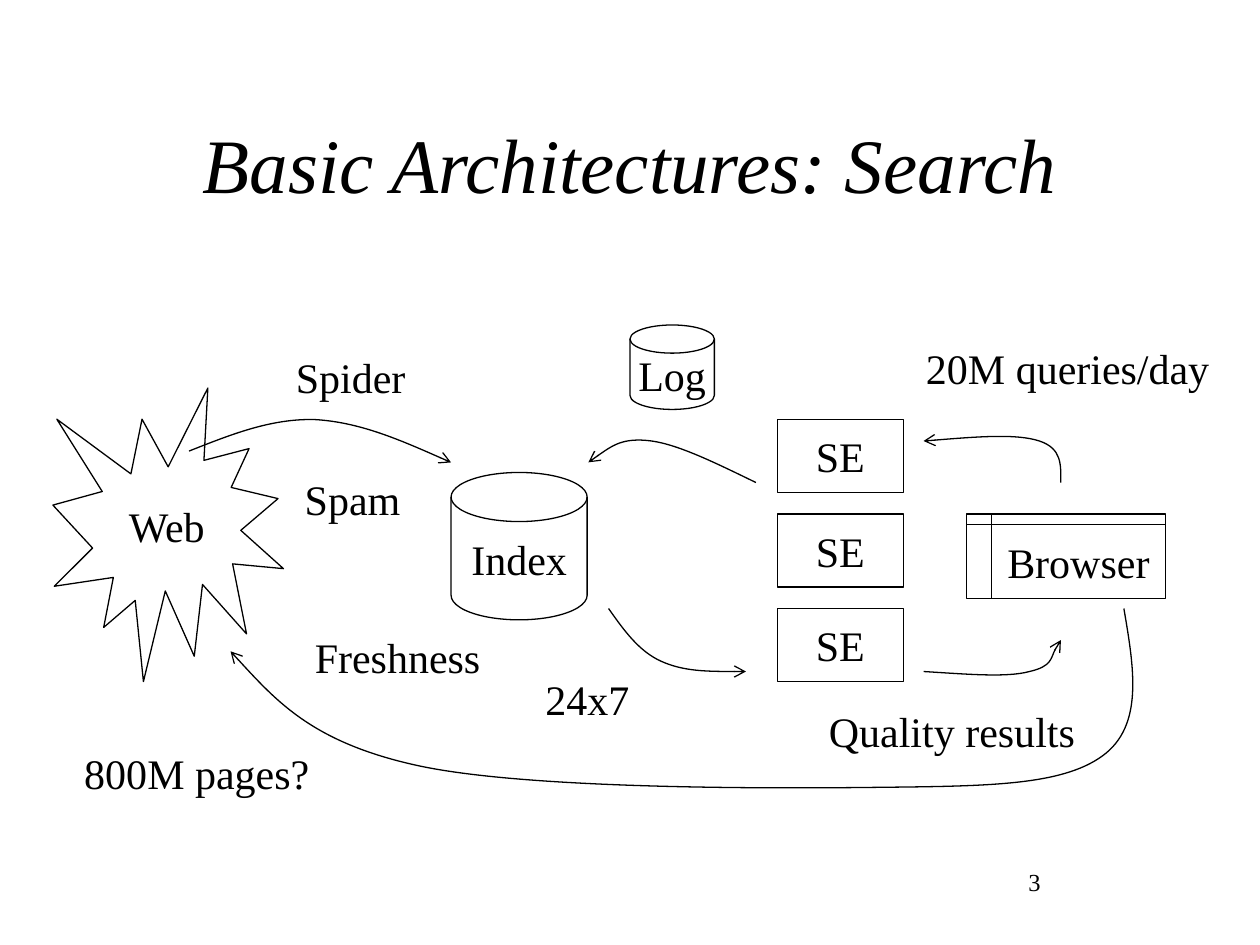
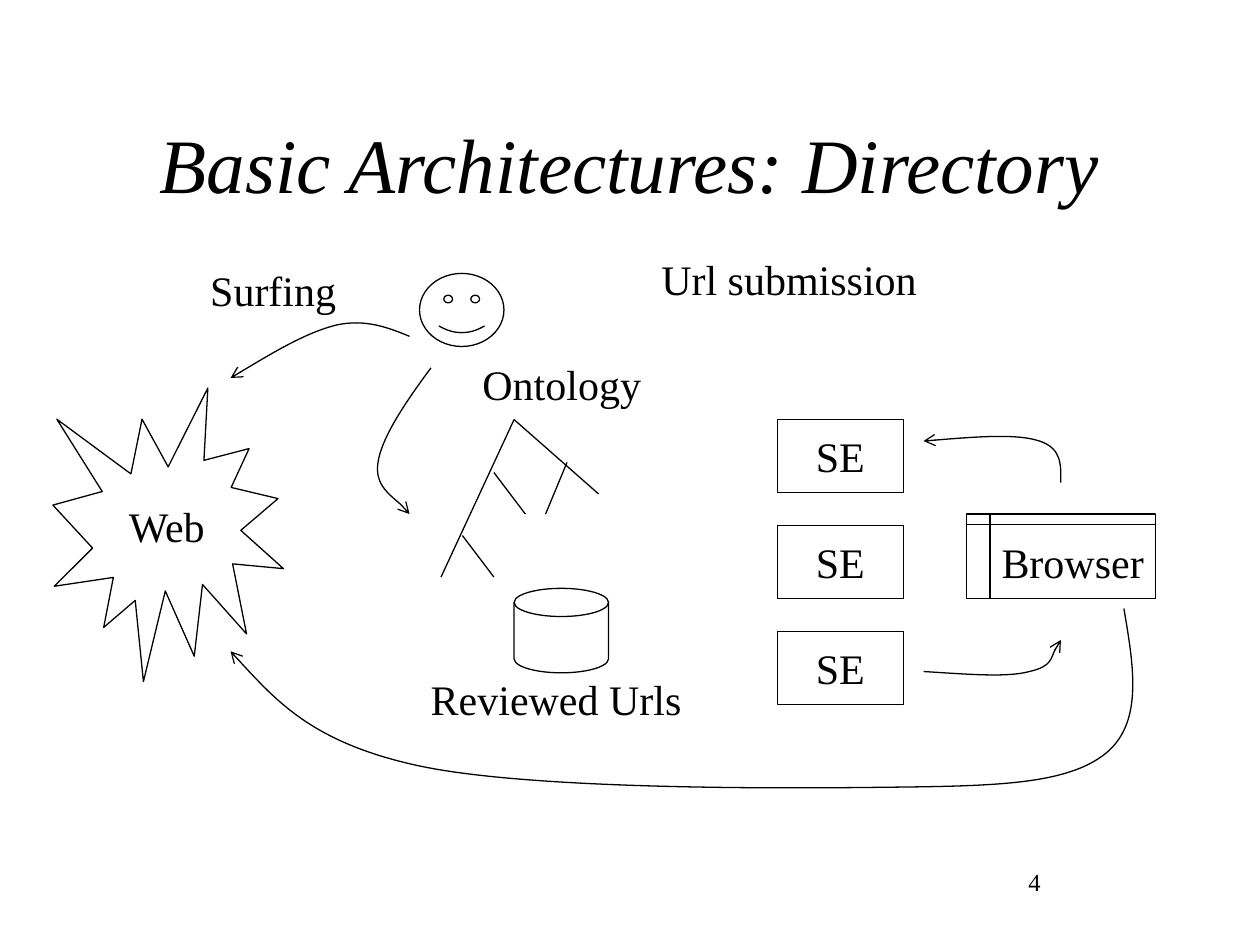
from dataclasses import dataclass

from lxml.etree import SubElement
from pptx import Presentation
from pptx.dml.color import RGBColor
from pptx.enum.shapes import MSO_CONNECTOR, MSO_SHAPE
from pptx.enum.text import MSO_ANCHOR, MSO_AUTO_SIZE, PP_ALIGN
from pptx.oxml.ns import qn
from pptx.presentation import Presentation as Deck
from pptx.shapes.autoshape import Shape
from pptx.slide import Slide
from pptx.text.text import TextFrame
from pptx.util import Inches, Pt

Point = tuple[float, float]


@dataclass(frozen=True)
class Theme:
    ink: RGBColor = RGBColor(0, 0, 0)
    paper: RGBColor = RGBColor(255, 255, 255)
    font: str = "Times New Roman"
    title_size: float = 44
    body_size: float = 24
    number_size: float = 14
    line_width: float = 0.75


@dataclass(frozen=True)
class Node:
    kind: MSO_SHAPE
    left: float
    top: float
    width: float
    height: float
    text: str = ""


@dataclass(frozen=True)
class Label:
    text: str
    left: float
    top: float
    width: float
    wrap: bool = False


@dataclass(frozen=True)
class Curve:
    """Start point, then two control points and an end point per segment."""
    points: tuple[Point, ...]


@dataclass(frozen=True)
class Branch:
    start: Point
    end: Point


THEME = Theme()
LABEL_HEIGHT = 0.5
LABEL_SLACK = 0.03  # keeps a tight label on one line
DISK = MSO_SHAPE.FLOWCHART_MAGNETIC_DISK

# Parts that both architectures have
WEB = Node(MSO_SHAPE.EXPLOSION1, 0.42, 3.08, 1.83, 2.33, "Web")
RESULTS_TO_BROWSER = Curve((
    (7.33, 5.33), (7.66, 5.35), (7.99, 5.38), (8.17, 5.33),
    (8.35, 5.29), (8.37, 5.13), (8.42, 5.08)))
BROWSER_TO_ENGINE = Curve((
    (8.42, 3.83), (8.42, 3.69), (8.43, 3.56), (8.25, 3.5),
    (8.07, 3.44), (7.7, 3.47), (7.33, 3.5)))
BROWSER_TO_WEB = Curve((
    (8.92, 4.83), (9, 5.3), (9.08, 5.76), (8.75, 6),
    (8.42, 6.24), (7.82, 6.24), (6.92, 6.25),
    (6.01, 6.26), (4.18, 6.26), (3.33, 6.08),
    (2.49, 5.9), (2.16, 5.53), (1.83, 5.17)))

# Search slide
SEARCH_NODES = (
    Node(DISK, 5, 2.58, 0.67, 0.67, "Log"),
    Node(DISK, 3.58, 3.75, 1.08, 1.17, "Index"),
)
SEARCH_LABELS = (
    Label("Spider", 2.25, 2.74, 1.58, wrap=True),
    Label("Spam", 2.32, 3.71, 0.96),
    Label("Freshness", 2.4, 4.96, 1.51),
    Label("Quality results", 6.48, 5.55, 2.15),
    Label("20M queries/day", 7.25, 2.67, 2.45),
    Label("800M pages?", 0.57, 5.88, 1.98),
    Label("24x7", 4.23, 5.3, 0.86),
)
SEARCH_CURVES = (
    # Index to engines, web to index, engines to index
    Curve(((4.83, 4.83), (4.95, 5), (5.07, 5.17), (5.25, 5.25),
           (5.43, 5.33), (5.67, 5.33), (5.92, 5.33))),
    Curve(((1.5, 3.58), (1.83, 3.45), (2.15, 3.32), (2.5, 3.33),
           (2.85, 3.35), (3.22, 3.51), (3.58, 3.67))),
    Curve(((6, 3.83), (5.69, 3.68), (5.39, 3.53), (5.17, 3.5),
           (4.94, 3.47), (4.81, 3.57), (4.67, 3.67))),
)

# Directory slide
REVIEWED_URLS = Node(DISK, 4.08, 4.67, 0.75, 0.67)
REVIEWER = Node(MSO_SHAPE.SMILEY_FACE, 3.33, 2.17, 0.67, 0.58)
DIRECTORY_LABELS = (
    Label("Url submission", 5.15, 1.96, 2.23),
    Label("Surfing", 1.57, 2.05, 1.2),
    Label("Ontology", 3.73, 2.8, 1.46),
    Label("Reviewed Urls", 3.32, 5.3, 2.19),
)
DIRECTORY_CURVES = (
    # Reviewer to ontology, reviewer to web
    Curve(((3.42, 2.92), (3.22, 3.19), (3.03, 3.47), (3, 3.67),
           (2.97, 3.86), (3.21, 4.01), (3.25, 4.08))),
    Curve(((3.25, 2.67), (3.08, 2.6), (2.9, 2.53), (2.67, 2.58),
           (2.43, 2.64), (2.13, 2.82), (1.83, 3))),
)
ONTOLOGY_TREE = (
    Branch((4.08, 3.33), (3.5, 4.58)),
    Branch((4.08, 3.33), (4.75, 3.92)),
    Branch((3.67, 4.25), (3.92, 4.58)),
    Branch((3.92, 3.75), (4.17, 4.08)),
    Branch((4.33, 4.08), (4.5, 3.67)),
)


def write_text(frame: TextFrame, text: str, size: float,
               align: PP_ALIGN = PP_ALIGN.LEFT, italic: bool = False,
               wrap: bool = True) -> None:
    frame.text = text
    frame.word_wrap = wrap
    paragraph = frame.paragraphs[0]
    paragraph.alignment = align
    for run in paragraph.runs:
        run.font.name = THEME.font
        run.font.size = Pt(size)
        run.font.italic = italic
        run.font.color.rgb = THEME.ink


def outline(shape: Shape) -> None:
    shape.shadow.inherit = False
    shape.fill.background()
    shape.line.color.rgb = THEME.ink
    shape.line.width = Pt(THEME.line_width)


def draw_node(slide: Slide, node: Node) -> Shape:
    shape = slide.shapes.add_shape(
        node.kind, Inches(node.left), Inches(node.top),
        Inches(node.width), Inches(node.height))
    outline(shape)
    if node.text:
        shape.text_frame.vertical_anchor = MSO_ANCHOR.MIDDLE
        write_text(shape.text_frame, node.text, THEME.body_size,
                   PP_ALIGN.CENTER, wrap=False)
    return shape


def draw_label(slide: Slide, label: Label) -> None:
    box = slide.shapes.add_textbox(
        Inches(label.left), Inches(label.top),
        Inches(label.width + LABEL_SLACK), Inches(LABEL_HEIGHT))
    write_text(box.text_frame, label.text, THEME.body_size, wrap=label.wrap)
    box.text_frame.auto_size = MSO_AUTO_SIZE.SHAPE_TO_FIT_TEXT


def draw_curve(slide: Slide, curve: Curve) -> None:
    points = [(Inches(x), Inches(y)) for x, y in curve.points]
    builder = slide.shapes.build_freeform(*points[0])
    builder.add_line_segments(points[1:], close=False)
    shape = builder.convert_to_shape()
    outline(shape)
    # Turn each three straight steps into one Bezier segment
    outline_path = next(shape.element.iter(qn("a:path")))
    steps = outline_path.findall(qn("a:lnTo"))
    for first in range(0, len(steps), 3):
        bezier = SubElement(outline_path, qn("a:cubicBezTo"))
        for step in steps[first:first + 3]:
            bezier.append(step[0])
            outline_path.remove(step)
    # Arrowhead at the end
    line = shape.element.spPr.find(qn("a:ln"))
    SubElement(line, qn("a:tailEnd"), type="arrow")


def draw_branch(slide: Slide, branch: Branch) -> None:
    connector = slide.shapes.add_connector(
        MSO_CONNECTOR.STRAIGHT, *map(Inches, branch.start + branch.end))
    connector.line.color.rgb = THEME.ink
    connector.line.width = Pt(THEME.line_width)
    SubElement(connector.element.spPr, qn("a:effectLst"))


def draw_engines(slide: Slide, pitch: float) -> None:
    for row in range(3):
        draw_node(slide, Node(MSO_SHAPE.RECTANGLE, 6.17, 3.33 + row * pitch,
                              1, 0.58, "SE"))


def add_architecture(presentation: Deck, topic: str, number: int,
                     browser_width: float, engine_pitch: float) -> Slide:
    """Start a slide with its title, number and the common parts."""
    slide = presentation.slides.add_slide(presentation.slide_layouts[5])
    slide.background.fill.solid()
    slide.background.fill.fore_color.rgb = THEME.paper

    # Title
    title = slide.shapes.title
    title.left, title.top = Inches(0.75), Inches(0.67)
    title.width, title.height = Inches(8.5), Inches(1.25)
    title.text_frame.vertical_anchor = MSO_ANCHOR.MIDDLE
    title.text_frame.auto_size = MSO_AUTO_SIZE.NONE
    write_text(title.text_frame, f"Basic Architectures: {topic}",
               THEME.title_size, PP_ALIGN.CENTER, italic=True)

    # Web, engines, browser and the flows between them
    draw_node(slide, WEB)
    draw_engines(slide, engine_pitch)
    draw_node(slide, Node(MSO_SHAPE.FLOWCHART_INTERNAL_STORAGE, 7.67, 4.08,
                          browser_width, 0.67, "Browser"))
    for curve in (RESULTS_TO_BROWSER, BROWSER_TO_ENGINE, BROWSER_TO_WEB):
        draw_curve(slide, curve)

    # Slide number
    box = slide.shapes.add_textbox(
        Inches(7.17), Inches(6.83), Inches(2.08), Inches(0.5))
    write_text(box.text_frame, str(number), THEME.number_size, PP_ALIGN.CENTER)
    return slide


def build_search(presentation: Deck) -> None:
    slide = add_architecture(presentation, "Search", 3, 1.58, 0.75)
    for node in SEARCH_NODES:
        draw_node(slide, node)
    for label in SEARCH_LABELS:
        draw_label(slide, label)
    for curve in SEARCH_CURVES:
        draw_curve(slide, curve)


def build_directory(presentation: Deck) -> None:
    slide = add_architecture(presentation, "Directory", 4, 1.5, 0.84)
    draw_node(slide, REVIEWED_URLS)
    face = draw_node(slide, REVIEWER)
    face.adjustments[0] = 0.09
    for label in DIRECTORY_LABELS:
        draw_label(slide, label)
    for branch in ONTOLOGY_TREE:
        draw_branch(slide, branch)
    for curve in DIRECTORY_CURVES:
        draw_curve(slide, curve)


def main() -> None:
    presentation = Presentation()
    presentation.slide_width = Inches(10)
    presentation.slide_height = Inches(7.5)
    build_search(presentation)
    build_directory(presentation)
    presentation.save("out.pptx")


main()
